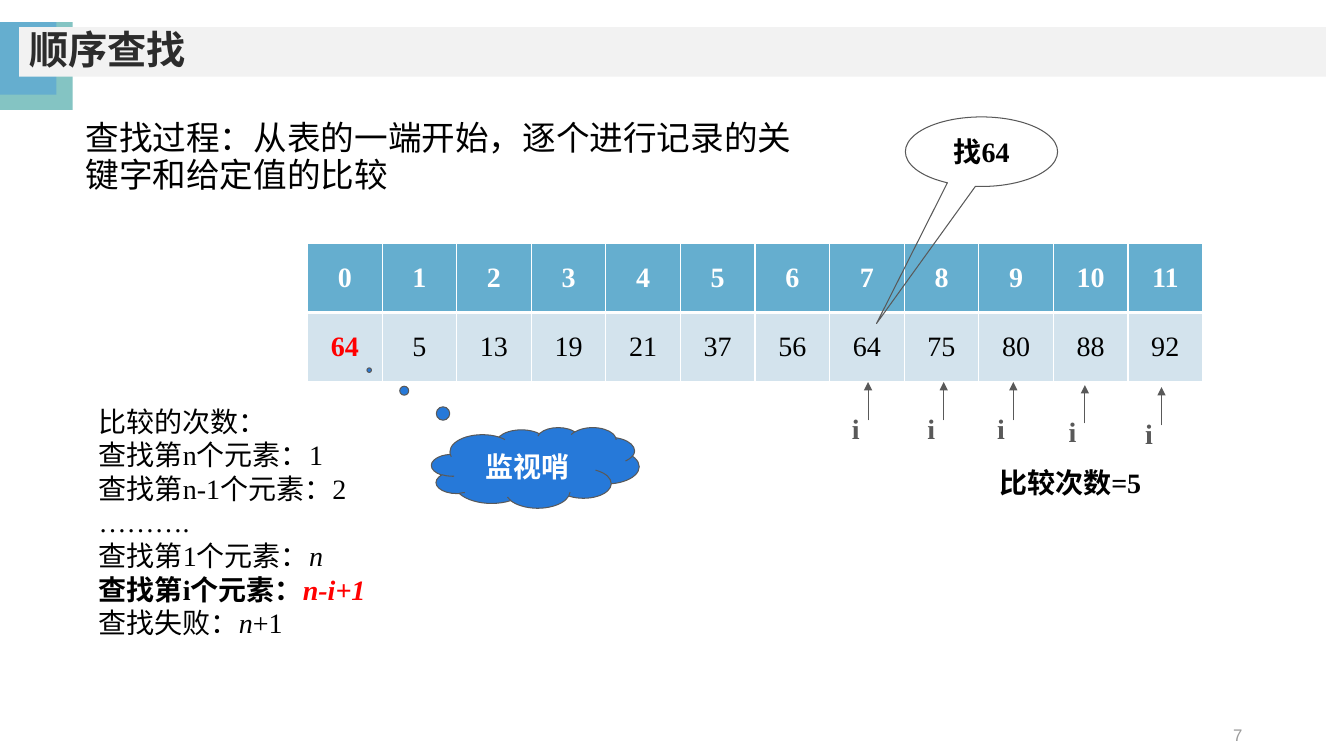
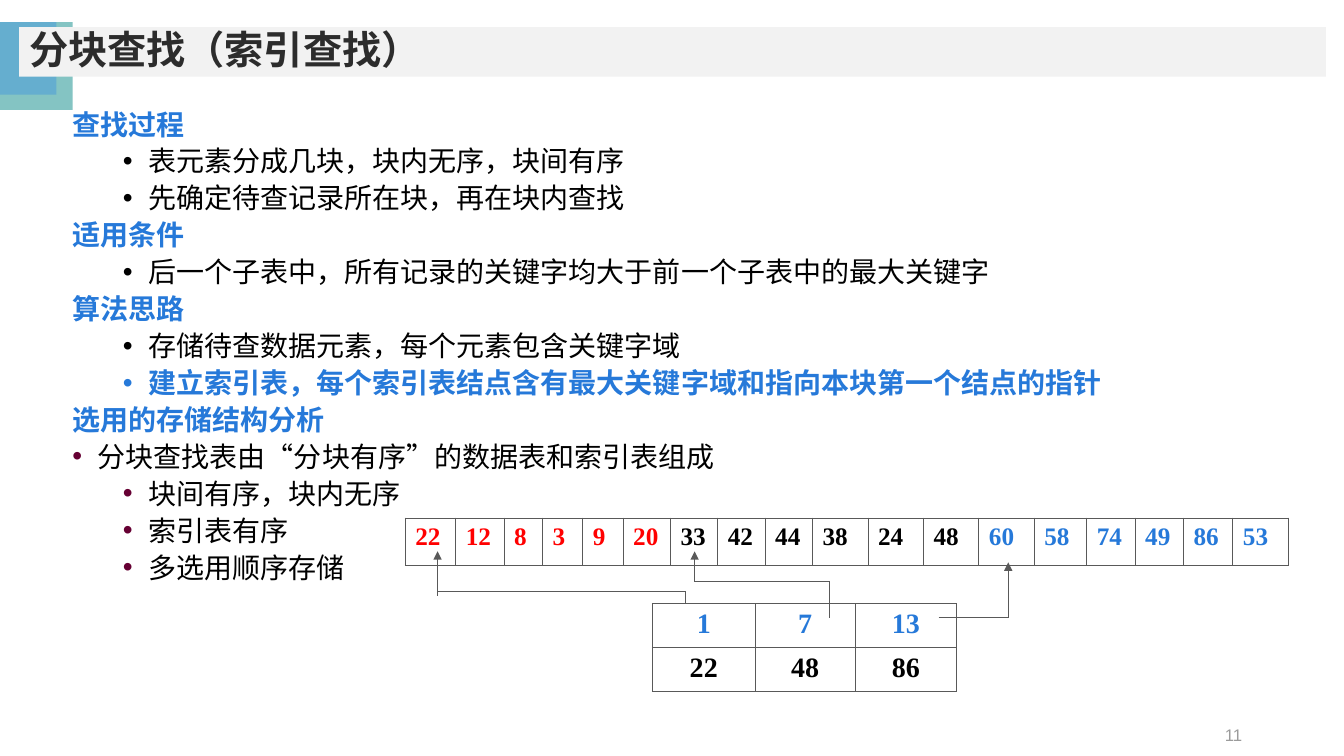
from itertools import pairwise

from lxml.etree import SubElement
from pptx import Presentation
from pptx.dml.color import RGBColor
from pptx.enum.shapes import MSO_CONNECTOR, MSO_SHAPE
from pptx.enum.text import MSO_ANCHOR, PP_ALIGN
from pptx.oxml.ns import qn
from pptx.util import Pt

PX = 9144  # 100 px to the inch
COLORS = {
    "teal": "84C4C3", "sky": "65AECF", "pale": "D3E3ED", "band": "F2F2F2",
    "title": "2C2C2C", "number": "9B9B9B", "line": "595959", "blue": "2679D9",
    "red": "FF0000", "plum": "660033", "black": "000000", "white": "FFFFFF",
}
RGB = {name: RGBColor.from_string(value) for name, value in COLORS.items()}
SERIF, SANS, CJK = "Times New Roman", "Arial", "Noto Sans CJK SC"


def write(target, paras, size, color="black", bold=False, font=SERIF,
          align=PP_ALIGN.LEFT, spacing=None, wrap=True, anchor=MSO_ANCHOR.TOP):
    """Fill a shape or cell; each paragraph is a string or a list of (text, style) runs."""
    tf = target.text_frame
    tf.word_wrap = wrap
    target_anchor = tf if hasattr(target, "shape_type") else target
    target_anchor.vertical_anchor = anchor
    for i, runs in enumerate(paras):
        p = tf.paragraphs[0] if i == 0 else tf.add_paragraph()
        p.alignment = align
        p.line_spacing = spacing
        for text, style in [(runs, {})] if isinstance(runs, str) else runs:
            r = p.add_run()
            r.text = text
            r.font.size = Pt(size)
            r.font.name = font
            r.font.bold = style.get("bold", bold)
            r.font.italic = style.get("italic", False)
            r.font.color.rgb = RGB[style.get("color", color)]
            SubElement(r.font._element, qn("a:ea"), typeface=CJK)


def connect(s, points, arrow=True):
    """Draw straight segments through the points, with an arrowhead on the last."""
    for start, end in pairwise(points):
        line = s.shapes.add_connector(
            MSO_CONNECTOR.STRAIGHT, *(v * PX for v in start + end))
        line.line.color.rgb = RGB["line"]
        line.line.width = Pt(0.75)
        if arrow and end == points[-1]:
            SubElement(line.line._get_or_add_ln(), qn("a:tailEnd"), type="triangle")
        SubElement(line._element.spPr, qn("a:effectLst"))


prs = Presentation()
prs.slide_width, prs.slide_height = 1333 * PX, 750 * PX

# Header and slide number
for title, number, font in [("顺序查找", "7", CJK), ("分块查找（索引查找）", "11", SANS)]:
    s = prs.slides.add_slide(prs.slide_layouts[6])
    for left, top, width, height, color in [
        (0, 22, 72, 87, "teal"), (0, 22, 56, 72, "sky"), (19, 27, 1296, 49, "band"),
    ]:
        sp = s.shapes.add_shape(
            MSO_SHAPE.RECTANGLE, left * PX, top * PX, width * PX, height * PX)
        sp.shadow.inherit = False
        sp.fill.solid()
        sp.fill.fore_color.rgb = RGB[color]
        sp.line.fill.background()
    write(sp, [title], 28, "title", True, font, spacing=0.9, anchor=MSO_ANCHOR.MIDDLE)
    sp = s.shapes.add_textbox(942 * PX, 709 * PX, 300 * PX, 40 * PX)
    write(sp, [number], 12, "number", font=SANS, align=PP_ALIGN.RIGHT,
          anchor=MSO_ANCHOR.MIDDLE)
sequential, block = prs.slides

# Body text
sp = sequential.shapes.add_textbox(75 * PX, 116 * PX, 741 * PX, 85 * PX)
write(sp, ["查找过程：从表的一端开始，逐个进行记录的关键字和给定值的比较"], 24, spacing=0.9)

sp = sequential.shapes.add_textbox(88 * PX, 396 * PX, 354 * PX, 246 * PX)
write(sp, [
    "比较的次数：",
    "查找第n个元素：1",
    "查找第n-1个元素：2",
    "……….",
    [("查找第1个元素：", {}), ("n", {"italic": True})],
    [("查找第i个元素：", {"bold": True}),
     ("n-i+1", {"color": "red", "bold": True, "italic": True})],
    [("查找失败：", {}), ("n", {"italic": True}), ("+1", {})],
], 20)

sp = sequential.shapes.add_textbox(981 * PX, 457 * PX, 189 * PX, 43 * PX)
write(sp, ["比较次数=5"], 20, bold=True)

strong = {"color": "blue", "bold": True}
outline = [  # left indent (None: heading), bullet colour, style, text
    (None, None, strong, "查找过程"),
    (75, None, {}, "表元素分成几块，块内无序，块间有序"),
    (75, None, {}, "先确定待查记录所在块，再在块内查找"),
    (None, None, strong, "适用条件"),
    (75, None, {}, "后一个子表中，所有记录的关键字均大于前一个子表中的最大关键字"),
    (None, None, strong, "算法思路"),
    (75, None, {}, "存储待查数据元素，每个元素包含关键字域"),
    (75, None, strong, "建立索引表，每个索引表结点含有最大关键字域和指向本块第一个结点的指针"),
    (None, None, strong, "选用的存储结构分析"),
    (25, "plum", {}, "分块查找表由“分块有序”的数据表和索引表组成"),
    (75, "plum", {}, "块间有序，块内无序"),
    (75, "plum", {}, "索引表有序"),
    (75, "plum", {}, "多选用顺序存储"),
]
sp = block.shapes.add_textbox(62 * PX, 98 * PX, 1168 * PX, 500 * PX)
write(sp, [[(text, style)] for _, _, style, text in outline], 20, spacing=1.1)
for p, (indent, bullet, _, _) in zip(sp.text_frame.paragraphs, outline):
    if indent is None:
        continue
    p.level = 1 if indent == 75 else 0
    pPr = p._p.get_or_add_pPr()
    pPr.set("marL", str(indent * PX))
    pPr.set("indent", str(-25 * PX))
    if bullet:
        SubElement(SubElement(pPr, qn("a:buClr")), qn("a:srgbClr"), val=COLORS[bullet])
    SubElement(pPr, qn("a:buFont"), typeface=SANS)
    SubElement(pPr, qn("a:buChar"), char="•")

# Tables: each cell is (text, colour, bold)
keys = [5, 13, 19, 21, 37, 56, 64, 75, 80, 88, 92]
groups = {
    "red": [22, 12, 8, 3, 9, 20],
    "black": [33, 42, 44, 38, 24, 48],
    "blue": [60, 58, 74, 49, 86, 53],
}
tables = [
    dict(slide=sequential, left=305, top=241, widths=[74] * 12, height=69, size=20,
         rows=[[(i, "white", True) for i in range(12)],
               [(64, "red", True)] + [(key, "black", False) for key in keys]],
         fills=["sky", "pale"], border="white", edge=1, divider=3,
         align=PP_ALIGN.CENTER, anchor=MSO_ANCHOR.MIDDLE),
    dict(slide=block, left=402, top=514, height=47, size=18,
         widths=[50, 48, 38, 40, 40] + [47] * 4 + [55] * 4 + [52, 48, 48, 49, 55],
         rows=[[(key, color, True) for color, group in groups.items() for key in group]],
         fills=[None], border="line", edge=0.75, divider=0.75,
         align=PP_ALIGN.LEFT, anchor=MSO_ANCHOR.TOP),
    dict(slide=block, left=647, top=599, widths=[102, 99, 101], height=41, size=20,
         rows=[[(i, "blue", True) for i in (1, 7, 13)],
               [(key, "black", True) for key in (22, 48, 86)]],
         fills=[None, None], border="line", edge=0.75, divider=0.75,
         align=PP_ALIGN.CENTER, anchor=MSO_ANCHOR.TOP),
]
for t in tables:
    rows, widths = t["rows"], t["widths"]
    table = t["slide"].shapes.add_table(
        len(rows), len(widths), t["left"] * PX, t["top"] * PX,
        sum(widths) * PX, len(rows) * t["height"] * PX).table
    table.first_row = table.horz_banding = False
    for column, width in zip(table.columns, widths):
        column.width = width * PX
    for i, (row, fill) in enumerate(zip(rows, t["fills"])):
        table.rows[i].height = t["height"] * PX
        for j, (value, color, bold) in enumerate(row):
            cell = table.cell(i, j)
            write(cell, [str(value)], t["size"], color, bold,
                  align=t["align"], anchor=t["anchor"])
            tcPr = cell._tc.get_or_add_tcPr()
            inner = {"a:lnT": i > 0, "a:lnB": i < len(rows) - 1}
            for side in ("a:lnL", "a:lnR", "a:lnT", "a:lnB"):
                width = t["divider"] if inner.get(side) else t["edge"]
                ln = SubElement(tcPr, qn(side), w=str(Pt(width)))
                SubElement(SubElement(ln, qn("a:solidFill")), qn("a:srgbClr"),
                           val=COLORS[t["border"]])
            if fill:
                cell.fill.solid()
                cell.fill.fore_color.rgb = RGB[fill]
            else:
                cell.fill.background()

# Positions of the search index i
for x, y in [(1152, 384), (861, 379), (936, 379), (1005, 379), (1076, 382)]:
    connect(sequential, [(x, y + 38), (x, y)])
    sp = sequential.shapes.add_textbox((x - 26) * PX, (y + 24) * PX, 28 * PX, 43 * PX)
    write(sp, ["i"], 20, "line", True, wrap=False)

# Callouts
for kind, box, tip, fill, text, color, font in [
    (MSO_SHAPE.OVAL_CALLOUT, (898, 116, 151, 69), (-0.69, 2.47), None,
     "找64", "black", SERIF),
    (MSO_SHAPE.CLOUD_CALLOUT, (428, 424, 206, 80), (-0.8, -1.21), "blue",
     "监视哨", "white", SANS),
]:
    sp = sequential.shapes.add_shape(kind, *(v * PX for v in box))
    sp.shadow.inherit = False
    sp.adjustments[0], sp.adjustments[1] = tip
    if fill:
        sp.fill.solid()
        sp.fill.fore_color.rgb = RGB[fill]
    else:
        sp.fill.background()
    sp.line.color.rgb = RGB["line"]
    sp.line.width = Pt(0.75)
    write(sp, [text], 20, color, True, font, PP_ALIGN.CENTER, wrap=False,
          anchor=MSO_ANCHOR.MIDDLE)

# Pointers from the index table to the first record of each block
for route in [
    [(680, 599), (680, 587), (434, 587), (434, 591), (434, 547)],
    [(823, 613), (823, 577), (689, 577), (689, 547)],
    [(931, 613), (1000, 613), (1000, 558)],
]:
    connect(block, route)

prs.save("out.pptx")
